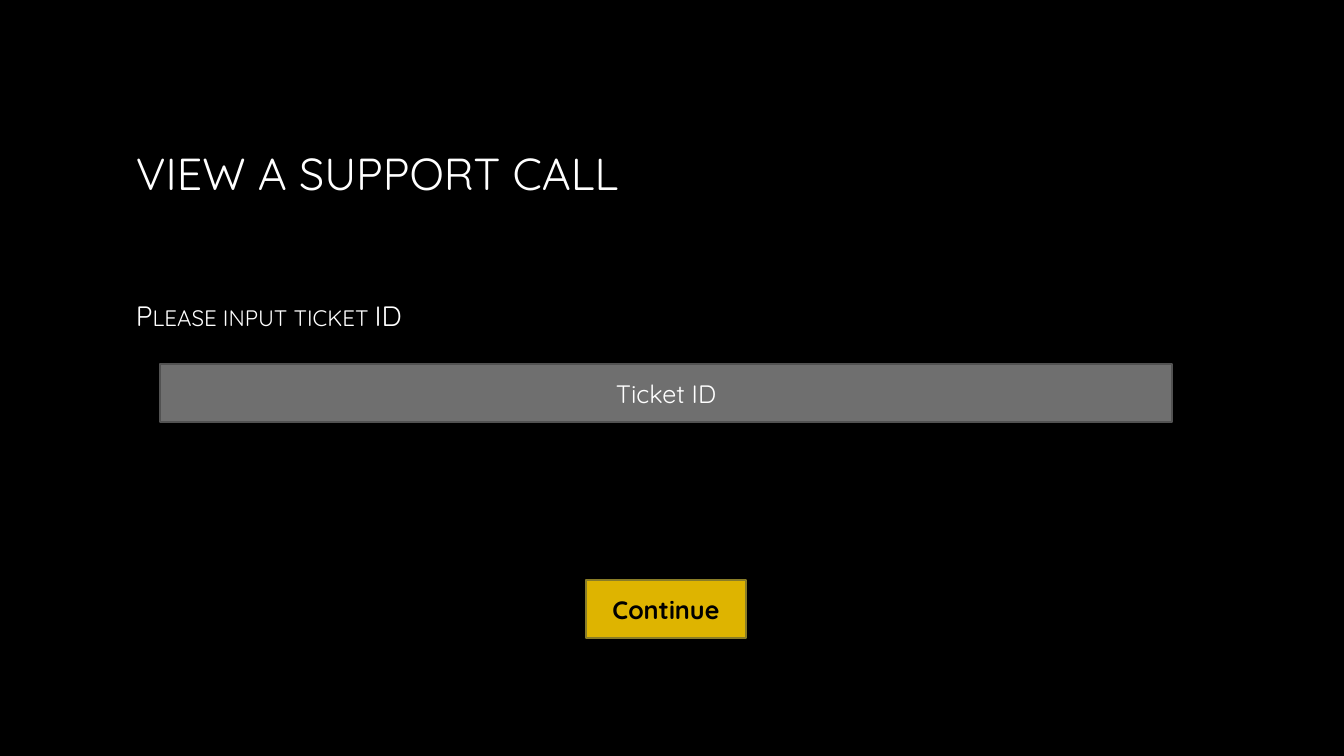
from pptx import Presentation
from pptx.dml.color import RGBColor
from pptx.enum.shapes import MSO_SHAPE
from pptx.enum.text import MSO_ANCHOR, PP_ALIGN
from pptx.util import Pt

RECTANGLE = MSO_SHAPE.RECTANGLE
TOP, MIDDLE = MSO_ANCHOR.TOP, MSO_ANCHOR.MIDDLE
LEFT, CENTER = PP_ALIGN.LEFT, PP_ALIGN.CENTER

# Content: boxes are left, top, width, height in px
SLIDE_SIZE = (1344, 756)
BACKGROUND = "000000"
FONT = "Quicksand"

HEADINGS = [
    {"text": "VIEW A SUPPORT CALL", "box": (126, 68, 1092, 210),
     "anchor": MIDDLE, "small_caps": False, "format": {"size": Pt(32)}},
    {"text": "Please input ticket ID", "box": (126, 294, 1092, 345),
     "anchor": TOP, "small_caps": True, "format": {"size": Pt(20)}},
]
CONTROLS = [
    {"text": "Ticket ID", "box": (160, 364, 1012, 58), "fill": "6F6F6F",
     "line": "525252", "color": "FFFFFF", "format": {"size": Pt(18)}},
    {"text": "Continue", "box": (586, 580, 160, 58), "fill": "DEB400",
     "line": "897C27", "color": "000000",
     "format": {"size": Pt(18), "bold": True}},
]

EMU_PER_PX = 914400 / 100.8


def px(*lengths):
    return [round(length * EMU_PER_PX) for length in lengths]


def paint(fill, color):
    fill.solid()
    fill.fore_color.rgb = RGBColor.from_string(color)


def write(shape, text, color, formats, anchor, align):
    frame = shape.text_frame
    frame.word_wrap = True
    frame.vertical_anchor = anchor
    paragraph = frame.paragraphs[0]
    paragraph.alignment = align
    run = paragraph.add_run()
    run.text = text
    for name, value in {"name": FONT, **formats}.items():
        setattr(run.font, name, value)
    paint(run.font.fill, color)
    return run


deck = Presentation()
deck.slide_width, deck.slide_height = px(*SLIDE_SIZE)
slide = deck.slides.add_slide(deck.slide_layouts[6])
paint(slide.background.fill, BACKGROUND)

# Title and prompt
for heading in HEADINGS:
    box = slide.shapes.add_textbox(*px(*heading["box"]))
    label = write(box, heading["text"], "FFFFFF", heading["format"],
                  heading["anchor"], LEFT)
    if heading["small_caps"]:
        label._r.get_or_add_rPr().set("cap", "small")

# Input field and button
for control in CONTROLS:
    box = slide.shapes.add_shape(RECTANGLE, *px(*control["box"]))
    box.shadow.inherit = False
    paint(box.fill, control["fill"])
    paint(box.line.fill, control["line"])
    box.line.width = Pt(1.5)
    write(box, control["text"], control["color"], control["format"],
          MIDDLE, CENTER)

deck.save("out.pptx")
